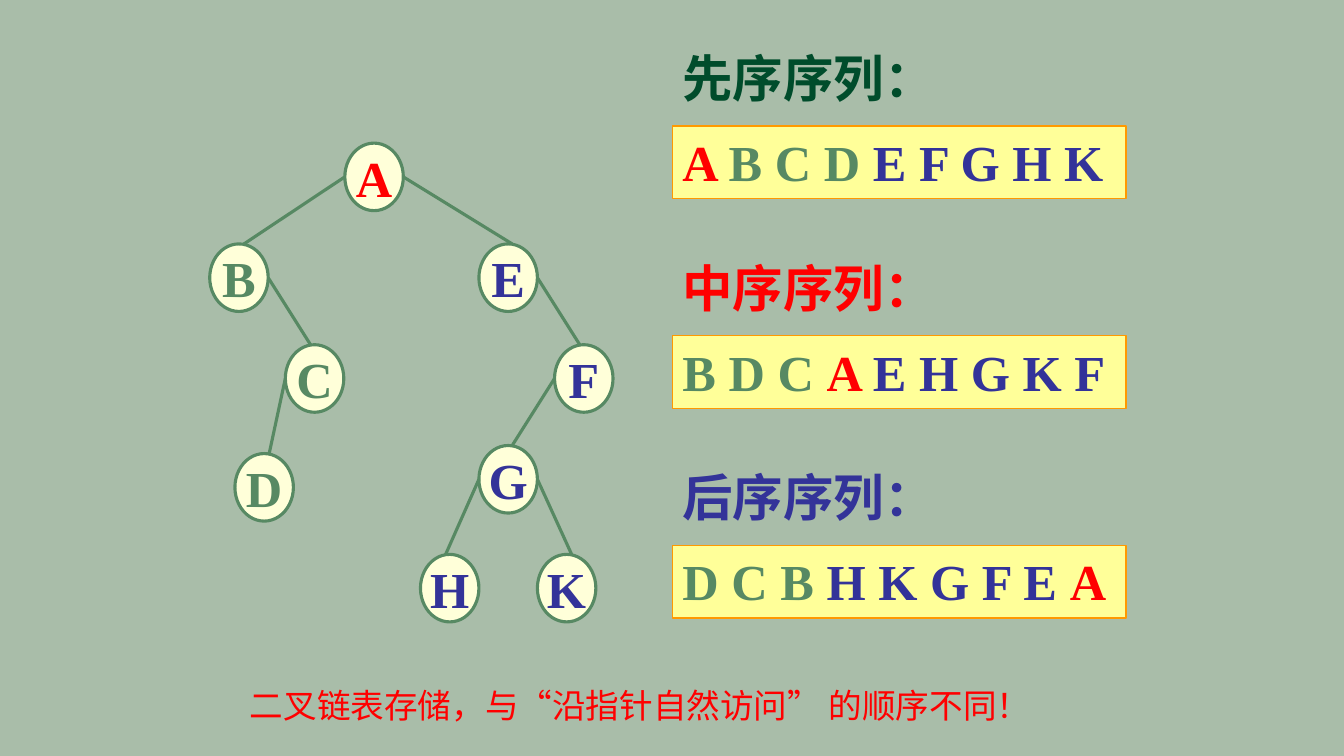
"""Build a slide showing a binary tree and its three traversal sequences."""
from itertools import groupby

from lxml import etree
from pptx import Presentation
from pptx import util as u
from pptx.dml.color import RGBColor
from pptx.enum import shapes, text
from pptx.oxml import ns

SAGE = RGBColor(0xA9, 0xBD, 0xA9)
CREAM = RGBColor(0xFF, 0xFF, 0xD9)
YELLOW = RGBColor(0xFF, 0xFF, 0x99)
ORANGE = RGBColor(0xFF, 0x99, 0x00)
GREEN = RGBColor(0x57, 0x89, 0x63)
DARK_GREEN = RGBColor(0x00, 0x4C, 0x2B)
RED = RGBColor(0xFF, 0x00, 0x00)
BLUE = RGBColor(0x33, 0x33, 0x99)

FONT = "Times New Roman"
NODE_W, NODE_H = 0.58, 0.67
NODES = {
    "A": (3.42, 1.42), "B": (2.08, 2.42), "C": (2.83, 3.42),
    "D": (2.33, 4.5), "E": (4.75, 2.42), "F": (5.5, 3.42),
    "G": (4.75, 4.42), "H": (4.17, 5.5), "K": (5.33, 5.5),
}
EDGES = [
    ("A", "B", 2.42), ("B", "C", 3.08), ("C", "D", 2.67), ("A", "E", 5.08),
    ("E", "F", 5.75), ("F", "G", 5.08), ("G", "H", 4.42), ("G", "K", 5.67),
]
SEQUENCES = [
    ("先序序列：", DARK_GREEN, "ABCDEFGHK"),
    ("中序序列：", RED, "BDCAEHGKF"),
    ("后序序列：", BLUE, "DCBHKGFEA"),
]
SEQ_X, SEQ_Y, SEQ_STEP = 6.67, 0.42, 2.08
NOTE = "二叉链表存储，与“沿指针自然访问” 的顺序不同！"


def letter_color(letter):
    return RED if letter == "A" else GREEN if letter in "BCD" else BLUE


def style(r, color, size=36, bold=True):
    r.font.name, r.font.size, r.font.bold = FONT, u.Pt(size), bold
    r.font.color.rgb = color


def add_shape(parent, kind, box, fill, line, width):
    sp = parent.add_shape(kind, *map(u.Inches, box))
    sp.shadow.inherit = False
    sp.fill.solid()
    sp.fill.fore_color.rgb = fill
    sp.line.color.rgb = line
    sp.line.width = u.Pt(width)
    return sp


def add_node(tree, letter):
    sp = add_shape(tree, shapes.MSO_SHAPE.OVAL, (*NODES[letter], NODE_W, NODE_H), CREAM, GREEN, 2.25)
    tf = sp.text_frame
    tf.word_wrap = False
    tf.vertical_anchor = text.MSO_ANCHOR.MIDDLE
    tf.text = letter
    p = tf.paragraphs[0]
    p.alignment = text.PP_ALIGN.CENTER
    style(p.runs[0], letter_color(letter))


def add_edge(tree, parent, child, end_x):
    x, y = NODES[parent]
    start_x = x if end_x < x + NODE_W / 2 else x + NODE_W
    ends = (start_x, y + NODE_H / 2, end_x, NODES[child][1])
    cn = tree.add_connector(shapes.MSO_CONNECTOR.STRAIGHT, *map(u.Inches, ends))
    cn.line.color.rgb = GREEN
    cn.line.width = u.Pt(2.25)
    etree.SubElement(cn._element.spPr, ns.qn("a:effectLst"))


def add_label(s, box, words, color, size=36, bold=True):
    tf = s.shapes.add_textbox(*map(u.Inches, box)).text_frame
    tf.word_wrap = True
    tf.text = words
    style(tf.paragraphs[0].runs[0], color, size, bold)


def add_sequence(s, y, letters):
    sp = add_shape(s.shapes, shapes.MSO_SHAPE.RECTANGLE, (SEQ_X, y, 4.5, 0.72), YELLOW, ORANGE, 1)
    tf = sp.text_frame
    tf.word_wrap = True
    tf.vertical_anchor = text.MSO_ANCHOR.TOP
    p = tf.paragraphs[0]
    p.alignment = text.PP_ALIGN.LEFT
    groups = [(color, " ".join(run)) for color, run in groupby(letters, letter_color)]
    for i, (color, words) in enumerate(groups):
        r = p.add_run()
        r.text = words if i == len(groups) - 1 else words + " "
        style(r, color)


def main():
    prs = Presentation()
    prs.slide_width, prs.slide_height = u.Inches(13.33), u.Inches(7.5)
    s = prs.slides.add_slide(prs.slide_layouts[6])
    s.background.fill.solid()
    s.background.fill.fore_color.rgb = SAGE

    tree = s.shapes.add_group_shape().shapes
    for letter in NODES:
        add_node(tree, letter)
    for edge in EDGES:
        add_edge(tree, *edge)

    for i, (title, color, letters) in enumerate(SEQUENCES):
        y = SEQ_Y + i * SEQ_STEP
        add_label(s, (SEQ_X, y, 2.83, 0.7), title, color)
        add_sequence(s, y + 0.83, letters)
    add_label(s, (2.38, 6.75, 8.9, 0.51), NOTE, RED, 24, False)

    prs.save("out.pptx")


if __name__ == "__main__":
    main()
